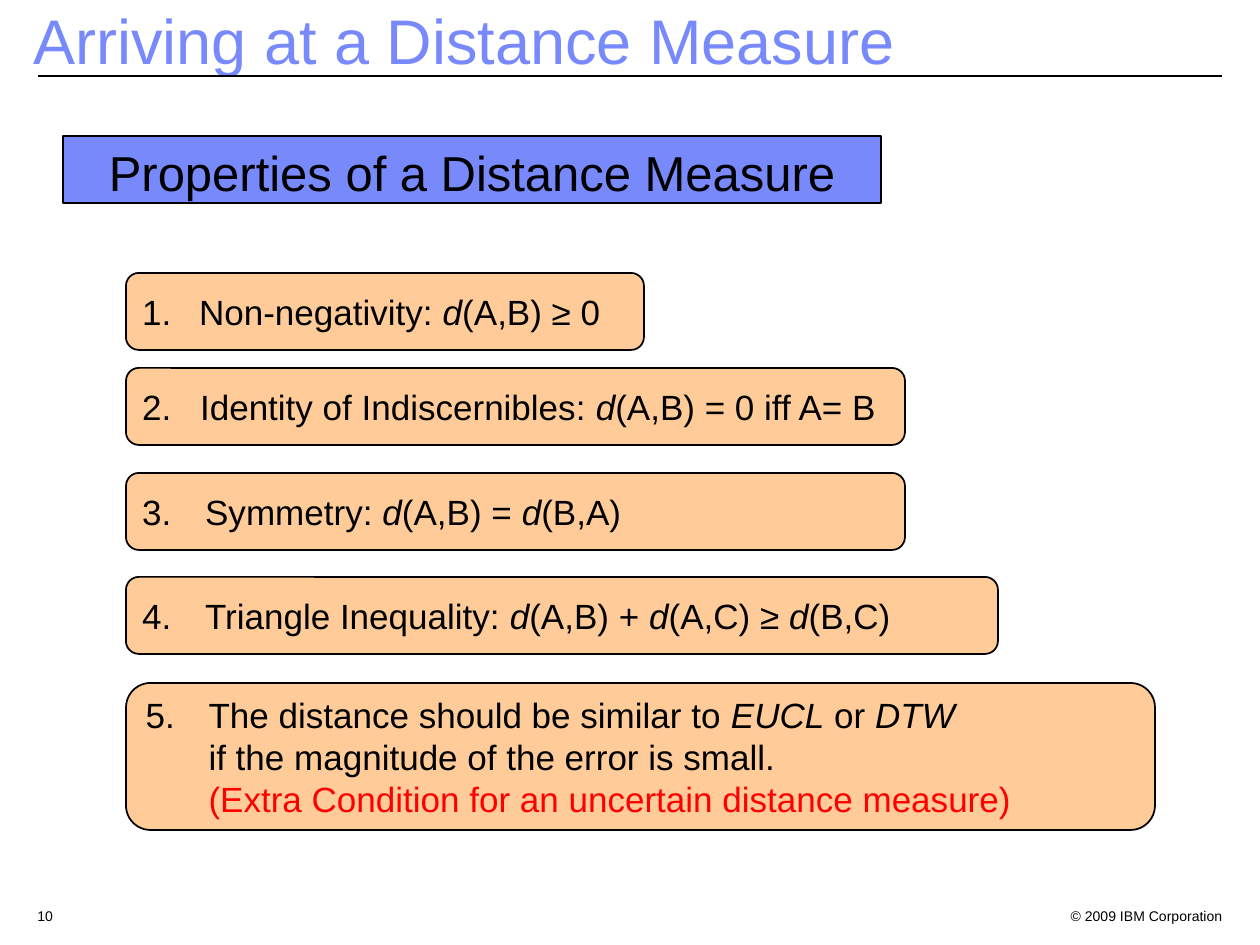
from lxml.etree import SubElement
from pptx import Presentation
from pptx.dml.color import RGBColor
from pptx.enum.shapes import MSO_CONNECTOR, MSO_SHAPE
from pptx.enum.text import MSO_ANCHOR, MSO_AUTO_SIZE, PP_ALIGN
from pptx.oxml.ns import qn
from pptx.util import Pt

PX = 914400 // 126
THEME = {
    "font": "Arial",
    "accent": "7889FB", "card": "FFCC99", "ink": "000000", "alert": "FF0000",
    "title": 36, "heading": 28, "body": 20, "footer": 8,
    "thin": 0.75, "outline": 1,
}

TITLE = "Arriving at a Distance Measure"
HEADING = "Properties of a Distance Measure"
FOOTERS = [
    ("10", (25, 901, 50, 25), PP_ALIGN.LEFT),
    ("© 2009 IBM Corporation", (1046, 901, 189, 25), PP_ALIGN.RIGHT),
]
PLAIN, ITALIC, ALERT = ("ink", False), ("ink", True), ("alert", False)
D = ("d", ITALIC)
PROPERTIES = [
    ((273, 518, 77), 57, [[("Non-negativity: ", PLAIN), D, ("(A,B) ≥ 0", PLAIN)]]),
    ((368, 779, 77), 58, [[("Identity of Indiscernibles: ", PLAIN), D,
                           ("(A,B) = 0 iff A= B", PLAIN)]]),
    ((473, 779, 77), 63, [[("Symmetry: ", PLAIN), D, ("(A,B) = ", PLAIN), D,
                           ("(B,A)", PLAIN)]]),
    ((577, 872, 77), 63, [[("Triangle Inequality: ", PLAIN), D, ("(A,B) + ", PLAIN), D,
                           ("(A,C) ≥ ", PLAIN), D, ("(B,C)", PLAIN)]]),
    ((683, 1029, 147), 63, [
        [("The distance should be similar to ", PLAIN), ("EUCL", ITALIC),
         (" or ", PLAIN), ("DTW", ITALIC)],
        [("if the magnitude of the error is small.", PLAIN)],
        [("(Extra Condition for an uncertain distance measure)", ALERT)],
    ]),
]
CARD_LEFT = 126


def emu(box):
    return [v * PX for v in box]


def color(name):
    return RGBColor.from_string(THEME[name])


def apply(target, values):
    for name, value in values.items():
        setattr(target, name, value)


def add_run(p, text, size, ink="ink", italic=False):
    r = p.add_run()
    r.text = text
    apply(r.font, {"name": THEME["font"], "size": Pt(THEME[size]), "italic": italic})
    r.font.color.rgb = color(ink)


def add_box(slide, kind, box, fill, line, anchor):
    sp = slide.shapes.add_shape(kind, *emu(box))
    sp.shadow.inherit = False
    sp.fill.solid()
    sp.fill.fore_color.rgb = color(fill)
    sp.line.color.rgb = color("ink")
    sp.line.width = Pt(THEME[line])
    apply(sp.text_frame, {"word_wrap": True, "vertical_anchor": anchor})
    return sp.text_frame.paragraphs[0]


def number(p, start, indent):
    pPr = p._p.get_or_add_pPr()
    pPr.set("marL", str(indent * PX))
    pPr.set("indent", str(-indent * PX))
    SubElement(pPr, qn("a:buFont"), typeface=THEME["font"])
    SubElement(pPr, qn("a:buAutoNum"), type="arabicPeriod", startAt=str(start))


def main():
    prs = Presentation()
    prs.slide_width, prs.slide_height = emu((1260, 945))
    slide = prs.slides.add_slide(prs.slide_layouts[5])

    title = slide.shapes.title
    apply(title, dict(zip(("left", "top", "width", "height"), emu((21, 0, 1197, 88)))))
    apply(title.text_frame, {"word_wrap": True, "auto_size": MSO_AUTO_SIZE.NONE,
                             "vertical_anchor": MSO_ANCHOR.MIDDLE})
    p = title.text_frame.paragraphs[0]
    apply(p, {"alignment": PP_ALIGN.LEFT, "line_spacing": 0.9})
    add_run(p, TITLE, "title", "accent")

    rule = slide.shapes.add_connector(MSO_CONNECTOR.STRAIGHT, *emu((38, 76, 1222, 76)))
    rule.line.color.rgb = color("ink")
    rule.line.width = Pt(THEME["thin"])
    SubElement(rule._element.spPr, qn("a:effectLst"))

    p = add_box(slide, MSO_SHAPE.RECTANGLE, (63, 136, 818, 67), "accent", "thin",
                MSO_ANCHOR.TOP)
    p.alignment = PP_ALIGN.CENTER
    add_run(p, HEADING, "heading")

    for n, ((top, width, height), indent, lines) in enumerate(PROPERTIES, 1):
        p = add_box(slide, MSO_SHAPE.ROUNDED_RECTANGLE, (CARD_LEFT, top, width, height),
                    "card", "outline", MSO_ANCHOR.MIDDLE)
        p.alignment = PP_ALIGN.LEFT
        number(p, n, indent)
        for i, line in enumerate(lines):
            if i:
                p.add_line_break()
            for text, (ink, italic) in line:
                add_run(p, text, "body", ink, italic)

    for text, box, alignment in FOOTERS:
        tf = slide.shapes.add_textbox(*emu(box)).text_frame
        tf.word_wrap = True
        p = tf.paragraphs[0]
        p.alignment = alignment
        add_run(p, text, "footer")

    prs.save("out.pptx")


if __name__ == "__main__":
    main()
